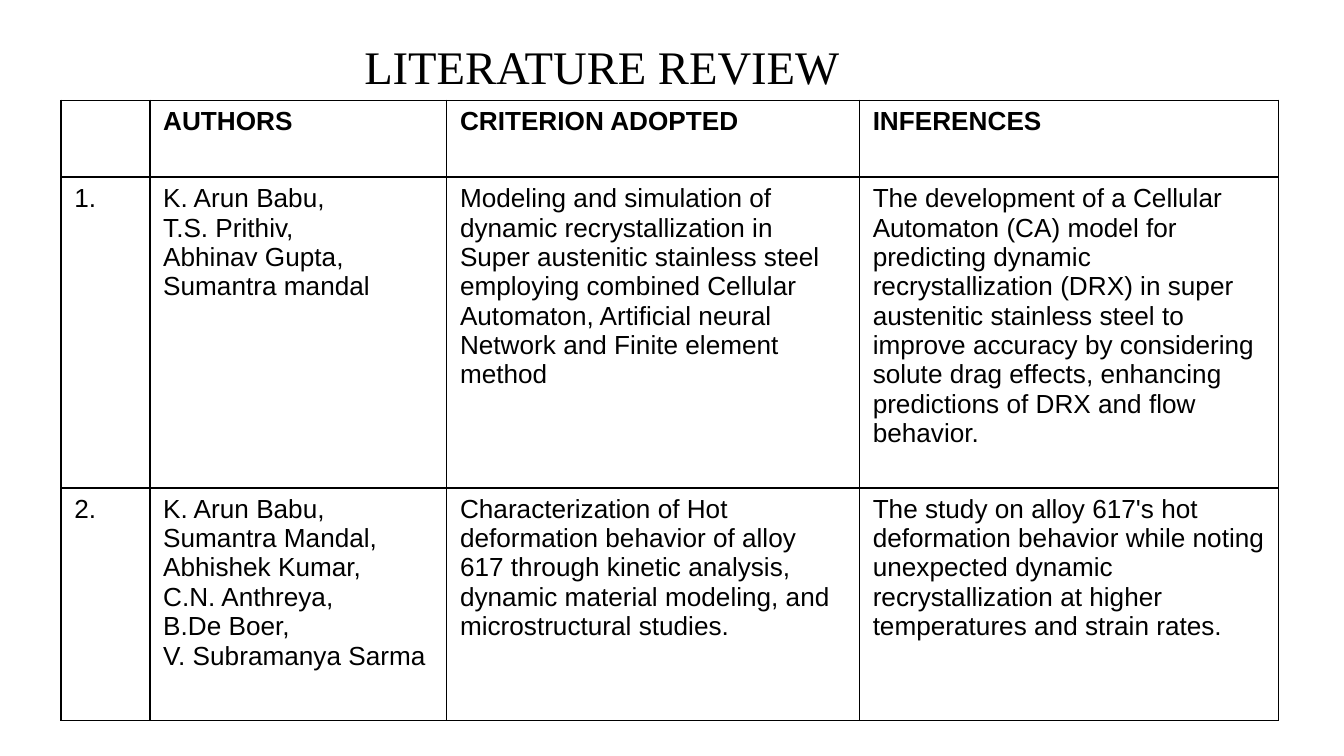
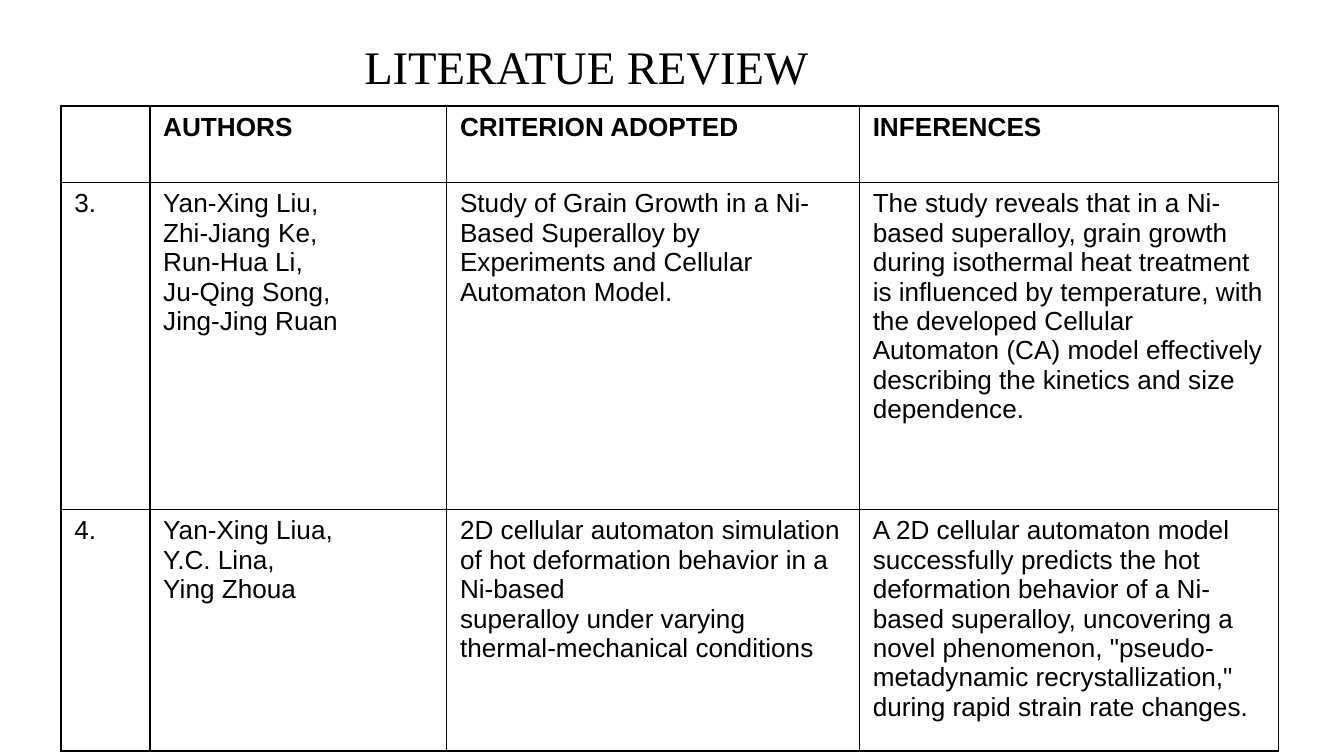
from dataclasses import dataclass

from lxml import etree
from pptx import Presentation
from pptx.dml.color import RGBColor
from pptx.enum.text import MSO_ANCHOR, MSO_AUTO_SIZE, PP_ALIGN
from pptx.oxml.ns import qn
from pptx.util import Cm, Pt

BLACK = RGBColor(0x00, 0x00, 0x00)
WHITE = RGBColor(0xFF, 0xFF, 0xFF)
LEFT = PP_ALIGN.LEFT
TOP = MSO_ANCHOR.TOP
GROW = MSO_AUTO_SIZE.SHAPE_TO_FIT_TEXT

TITLE_FONT, TITLE_SIZE = "Times New Roman", Pt(25)
TABLE_FONT, TABLE_SIZE = "Arial", Pt(14)
TITLE_ONLY_LAYOUT = 5

# Table geometry shared by the slides
TABLE_LEFT = Cm(1.15)
COLUMN_WIDTHS = [Cm(1.68), Cm(5.61), Cm(7.8), Cm(7.92)]
HEADER_HEIGHT = Cm(1.45)
HEADINGS = ["", "AUTHORS", "CRITERION ADOPTED", "INFERENCES"]
BORDER_WIDTH = Pt(1)
BORDER_SIDES = ("a:lnL", "a:lnR", "a:lnT", "a:lnB")


@dataclass
class Paper:
    number: str
    authors: list[str]
    criterion: str
    inference: str
    height: Cm


@dataclass
class ReviewSlide:
    title: str
    table_top: Cm
    papers: list[Paper]


REVIEWS = [
    ReviewSlide("LITERATURE REVIEW", Cm(1.9), [
        Paper(
            "1.",
            ["K. Arun Babu,", "T.S. Prithiv,", "Abhinav Gupta,", "Sumantra mandal"],
            "Modeling and simulation of dynamic recrystallization in Super "
            "austenitic stainless steel employing combined Cellular Automaton, "
            "Artificial neural Network and Finite element method",
            "The development of a Cellular Automaton (CA) model for predicting "
            "dynamic recrystallization (DRX) in super austenitic stainless steel "
            "to improve accuracy by considering solute drag effects, enhancing "
            "predictions of DRX and flow behavior.",
            Cm(5.87),
        ),
        Paper(
            "2.",
            ["K. Arun Babu,", "Sumantra Mandal,", "Abhishek Kumar,",
             "C.N. Anthreya,", "B.De Boer,", "V. Subramanya Sarma"],
            "Characterization of Hot deformation behavior of alloy 617 through "
            "kinetic analysis, dynamic material modeling, and microstructural "
            "studies.",
            "The study on alloy 617's hot deformation behavior while noting "
            "unexpected dynamic recrystallization at higher temperatures and "
            "strain rates.",
            Cm(4.4),
        ),
    ]),
    ReviewSlide("LITERATUE REVIEW", Cm(2), [
        Paper(
            "3.",
            ["Yan-Xing Liu,", "Zhi-Jiang Ke,", "Run-Hua Li,", "Ju-Qing Song,",
             "Jing-Jing Ruan"],
            "Study of Grain Growth in a Ni-Based Superalloy by Experiments and "
            "Cellular Automaton Model.",
            "The study reveals that in a Ni-based superalloy, grain growth during "
            "isothermal heat treatment is influenced by temperature, with the "
            "developed Cellular Automaton (CA) model effectively describing the "
            "kinetics and size dependence.",
            Cm(6.18),
        ),
        Paper(
            "4.",
            ["Yan-Xing Liua,", "Y.C. Lina,", "Ying Zhoua"],
            "2D cellular automaton simulation of hot deformation behavior in a "
            "Ni-based\nsuperalloy under varying thermal-mechanical conditions",
            "A 2D cellular automaton model successfully predicts the hot "
            "deformation behavior of a Ni-based superalloy, uncovering a novel "
            'phenomenon, "pseudo-metadynamic recrystallization," during rapid '
            "strain rate changes.",
            Cm(4.57),
        ),
    ]),
]


def format_text(frame, font_name: str, size: Pt, bold: bool = False) -> None:
    for paragraph in frame.paragraphs:
        paragraph.alignment = LEFT
        for run in paragraph.runs:
            run.font.name = font_name
            run.font.size = size
            run.font.bold = bold
            run.font.color.rgb = BLACK


def add_borders(cell) -> None:
    properties = cell._tc.get_or_add_tcPr()
    for position, side in enumerate(BORDER_SIDES):
        line = etree.Element(qn(side), w=str(BORDER_WIDTH))
        fill = etree.SubElement(line, qn("a:solidFill"))
        etree.SubElement(fill, qn("a:srgbClr"), val=str(BLACK))
        properties.insert(position, line)


def fill_cell(cell, text: str, bold: bool) -> None:
    cell.text_frame.text = text
    cell.vertical_anchor = TOP
    cell.fill.solid()
    cell.fill.fore_color.rgb = WHITE
    format_text(cell.text_frame, TABLE_FONT, TABLE_SIZE, bold)
    add_borders(cell)


def add_title(slide, text: str) -> None:
    title = slide.shapes.title
    title.left, title.top = Cm(6.63), Cm(0.58)
    title.width, title.height = Cm(12.7), Cm(1.32)
    frame = title.text_frame
    frame.text = text
    frame.word_wrap = True
    frame.auto_size = GROW
    frame.vertical_anchor = TOP
    format_text(frame, TITLE_FONT, TITLE_SIZE)


def add_review_table(slide, review: ReviewSlide) -> None:
    rows = [HEADINGS] + [
        [paper.number, "\n".join(paper.authors), paper.criterion, paper.inference]
        for paper in review.papers
    ]
    heights = [HEADER_HEIGHT] + [paper.height for paper in review.papers]
    table = slide.shapes.add_table(
        len(rows), len(HEADINGS), TABLE_LEFT, review.table_top,
        sum(COLUMN_WIDTHS), sum(heights),
    ).table
    table.horz_banding = False

    for column, width in zip(table.columns, COLUMN_WIDTHS):
        column.width = width
    for index, (row, height, texts) in enumerate(zip(table.rows, heights, rows)):
        row.height = height
        for cell, text in zip(row.cells, texts):
            fill_cell(cell, text, bold=index == 0)


def main() -> None:
    deck = Presentation()
    deck.slide_width, deck.slide_height = Cm(25.4), Cm(14.29)
    for review in REVIEWS:
        slide = deck.slides.add_slide(deck.slide_layouts[TITLE_ONLY_LAYOUT])
        add_title(slide, review.title)
        add_review_table(slide, review)
    deck.save("out.pptx")


if __name__ == "__main__":
    main()
